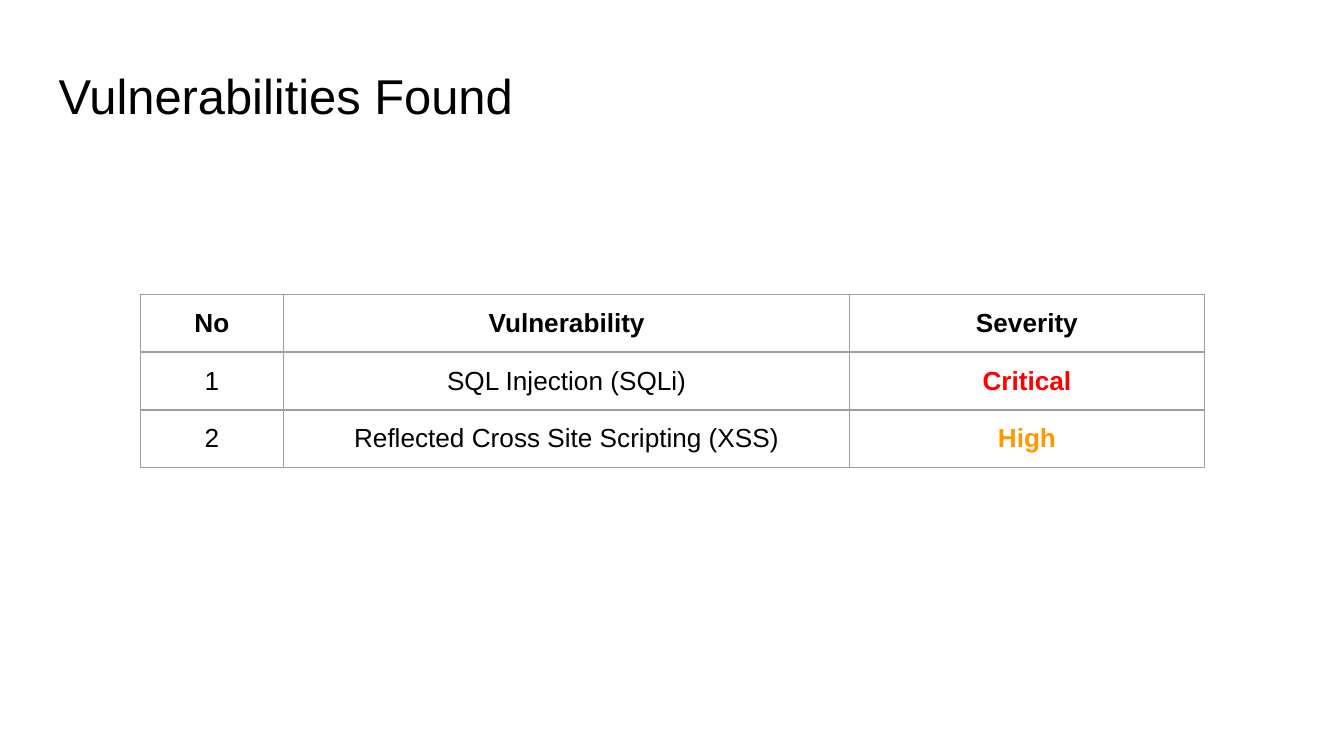
"""Build the slide that lists the vulnerabilities found and their severity."""
from dataclasses import dataclass

from lxml import etree
from pptx import Presentation
from pptx.dml.color import RGBColor
from pptx.enum.text import MSO_ANCHOR, PP_ALIGN
from pptx.oxml.ns import qn
from pptx.util import Cm, Pt

CENTER = PP_ALIGN.CENTER
MIDDLE = MSO_ANCHOR.MIDDLE
TOP = MSO_ANCHOR.TOP
FONT = "Arial"
COLORS = {
    "text": "000000",
    "critical": "FF0000",
    "high": "FF9900",
    "border": "9E9E9E",
    "paper": "FFFFFF",
}
COLUMN_WIDTHS = (Cm(2.71), Cm(10.7), Cm(6.7))
ROW_HEIGHT = Cm(1.06)
INSET = Cm(0.25)


@dataclass(frozen=True)
class Entry:
    text: str
    color: str = "text"
    bold: bool = False
    filled: bool = False


@dataclass(frozen=True)
class Finding:
    name: str
    severity: str
    color: str


HEADINGS = ("No", "Vulnerability", "Severity")
FINDINGS = (
    Finding("SQL Injection (SQLi)", "Critical", "critical"),
    Finding("Reflected Cross Site Scripting (XSS)", "High", "high"),
)


def add_run(paragraph, text: str, size: float, color: str = "text", bold: bool = False) -> None:
    run = paragraph.add_run()
    run.text = text
    run.font.name = FONT
    run.font.size = Pt(size)
    run.font.bold = bold
    run.font.color.rgb = RGBColor.from_string(COLORS[color])


def add_borders(cell) -> None:
    properties = cell._tc.get_or_add_tcPr()
    for side in ("a:lnL", "a:lnR", "a:lnT", "a:lnB"):
        line = etree.SubElement(properties, qn(side), w=str(Pt(0.75)))
        fill = etree.SubElement(line, qn("a:solidFill"))
        etree.SubElement(fill, qn("a:srgbClr"), val=COLORS["border"])


def write_cell(cell, entry: Entry) -> None:
    add_borders(cell)
    if entry.filled:
        cell.fill.solid()
        cell.fill.fore_color.rgb = RGBColor.from_string(COLORS["paper"])
    else:
        cell.fill.background()
    cell.vertical_anchor = MIDDLE
    cell.margin_left = cell.margin_right = INSET
    cell.margin_top = cell.margin_bottom = INSET
    paragraph = cell.text_frame.paragraphs[0]
    paragraph.alignment = CENTER
    add_run(paragraph, entry.text, 14, entry.color, entry.bold)


def add_title(slide, text: str) -> None:
    frame = slide.shapes.add_textbox(Cm(0.86), Cm(0.91), Cm(23.67), Cm(1.6)).text_frame
    frame.word_wrap = True
    frame.vertical_anchor = TOP
    frame.margin_left = frame.margin_right = INSET
    frame.margin_top = Cm(0.33)
    frame.margin_bottom = Cm(0.2)
    add_run(frame.paragraphs[0], text, 26.2)


def add_findings_table(slide, findings: tuple[Finding, ...]) -> None:
    rows = [[Entry(heading, bold=True) for heading in HEADINGS]]
    for number, finding in enumerate(findings, 1):
        severity = Entry(finding.severity, finding.color, bold=True, filled=True)
        rows.append([Entry(str(number)), Entry(finding.name), severity])
    table = slide.shapes.add_table(
        len(rows), len(HEADINGS), Cm(2.65), Cm(5.56),
        sum(COLUMN_WIDTHS), ROW_HEIGHT * len(rows),
    ).table
    table.first_row = table.horz_banding = False
    for column, width in zip(table.columns, COLUMN_WIDTHS):
        column.width = width
    for table_row, entries in zip(table.rows, rows):
        table_row.height = ROW_HEIGHT
        for cell, entry in zip(table_row.cells, entries):
            write_cell(cell, entry)


def main() -> None:
    presentation = Presentation()
    presentation.slide_width = Cm(25.4)
    presentation.slide_height = Cm(14.29)
    slide = presentation.slides.add_slide(presentation.slide_layouts[6])
    add_title(slide, "Vulnerabilities Found")
    add_findings_table(slide, FINDINGS)
    presentation.save("out.pptx")


if __name__ == "__main__":
    main()
